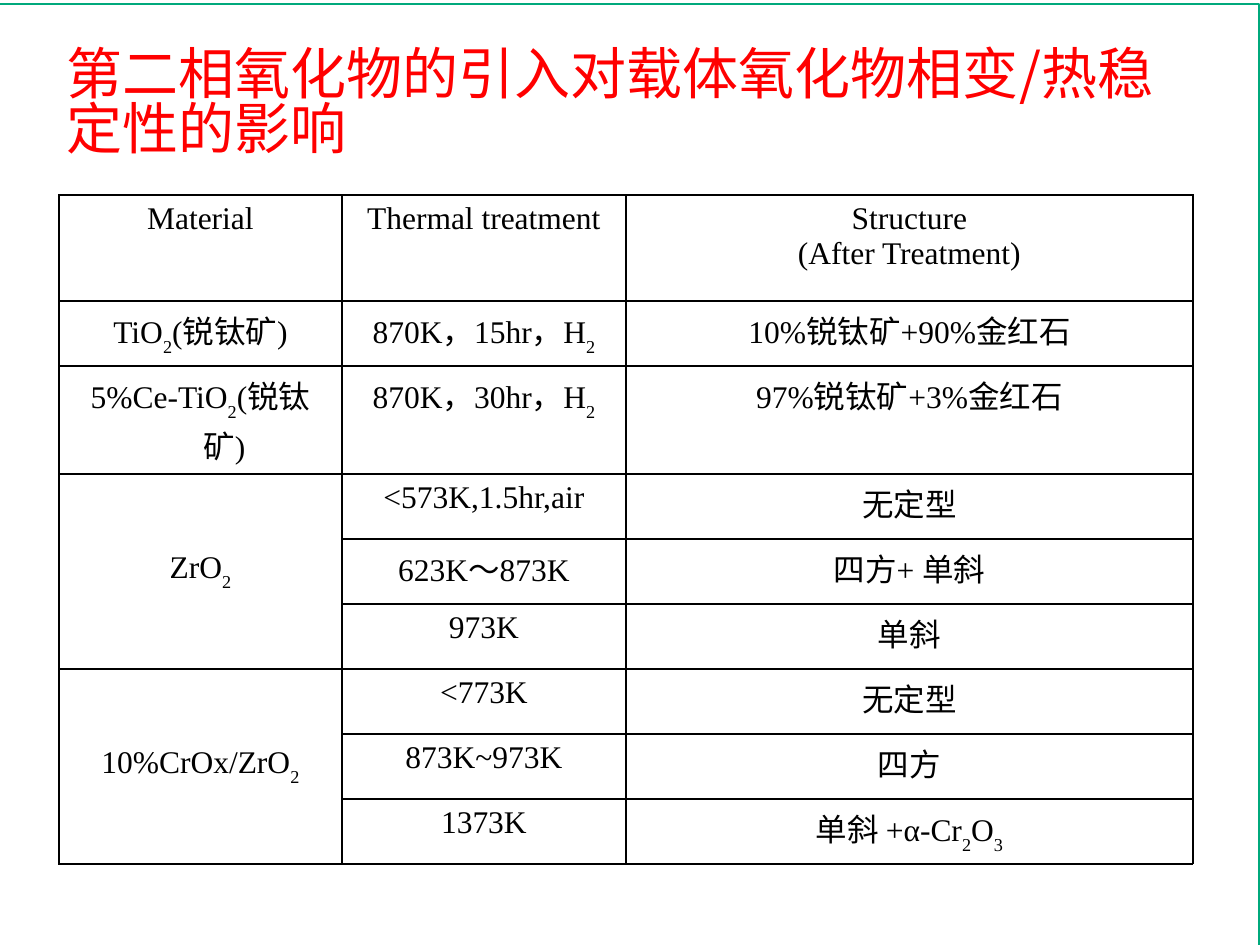
from lxml import etree
from pptx import Presentation, util as u
from pptx.dml.color import RGBColor
from pptx.enum import shapes, text
from pptx.oxml.ns import qn

SCALE = 914400 / 126
WHITE = RGBColor(0xFF, 0xFF, 0xFF)
BLACK = RGBColor(0, 0, 0)
RED = RGBColor(0xFF, 0, 0)
GREEN = RGBColor(0, 0xA9, 0x7C)
SANS, SERIF = "Noto Sans CJK SC", "Times New Roman"
TITLE = "第二相氧化物的引入对载体氧化物相变/热稳定性的影响"
COLUMNS = (283, 284, 567)
HEADER_HEIGHT, ROW_HEIGHT, HANGING = 106, 65, 48
ROWS = (
    ("Material", "Thermal treatment", "Structure\n(After Treatment)"),
    ("TiO_2_(锐钛矿)", "870K，15hr，H_2", "10%锐钛矿+90%金红石"),
    ("5%Ce-TiO_2_(锐钛矿)", "870K，30hr，H_2", "97%锐钛矿+3%金红石"),
    ("ZrO_2", "<573K,1.5hr,air", "无定型"),
    ("", "623K～873K", "四方+ 单斜"),
    ("", "973K", "单斜"),
    ("10%CrOx/ZrO_2", "<773K", "无定型"),
    ("", "873K~973K", "四方"),
    ("", "1373K", "单斜 +α-Cr_2_O_3"),
)
MERGED_ROWS = ((3, 5), (6, 8))


def px(n):
    """Turn pixels into EMU."""
    return u.Emu(round(n * SCALE))


def add_run(p, words, size, latin, color):
    """Add one formatted run with the East Asian font and return it."""
    r = p.add_run()
    r.text = words
    r.font.size, r.font.name = u.Pt(size), latin
    r.font.color.rgb = color
    etree.SubElement(r._r.get_or_add_rPr(), qn("a:ea")).set("typeface", SANS)
    return r


def add_frame(s, box):
    """Draw the outlined page background behind everything else."""
    sp = s.shapes.add_shape(shapes.MSO_SHAPE.RECTANGLE, *map(px, box))
    sp.shadow.inherit = False
    sp.fill.solid()
    sp.fill.fore_color.rgb = WHITE
    sp.line.color.rgb = GREEN
    sp.line.width = u.Pt(1)
    s.shapes._spTree.insert(2, sp._element)


def add_title(s, box):
    """Place and fill the title placeholder."""
    sp = s.shapes.title
    sp.left, sp.top, sp.width, sp.height = map(px, box)
    tf = sp.text_frame
    tf.word_wrap, tf.auto_size = True, text.MSO_AUTO_SIZE.NONE
    tf.vertical_anchor = text.MSO_ANCHOR.BOTTOM
    tf.margin_bottom = 0
    p = tf.paragraphs[0]
    p.alignment, p.line_spacing = text.PP_ALIGN.LEFT, 0.83
    add_run(p, TITLE, 32, SANS, RED)


def set_borders(cell):
    """Give a cell no fill and thin black lines on all sides."""
    cell.fill.background()
    tcPr = cell._tc.get_or_add_tcPr()
    for i, side in enumerate("LRTB"):
        ln = etree.Element(qn(f"a:ln{side}"), w=str(u.Pt(0.75)))
        fill = etree.SubElement(ln, qn("a:solidFill"))
        etree.SubElement(fill, qn("a:srgbClr")).set("val", str(BLACK))
        tcPr.insert(i, ln)


def fill_cell(cell, words):
    """Write centred lines, with subscripts between underscores."""
    tf = cell.text_frame
    for i, line in enumerate(words.split("\n")):
        p = tf.add_paragraph() if i else tf.paragraphs[0]
        p.alignment = text.PP_ALIGN.CENTER
        pPr = p._p.get_or_add_pPr()
        pPr.set("marL", str(px(HANGING)))
        pPr.set("indent", str(-px(HANGING)))
        for j, part in enumerate(line.split("_")):
            r = add_run(p, part, 18, SERIF, BLACK)
            if j % 2:
                r._r.get_or_add_rPr().set("baseline", "-30000")


def add_materials_table(s, left, top):
    """Build the table of materials, treatments and structures."""
    height = HEADER_HEIGHT + ROW_HEIGHT * (len(ROWS) - 1)
    table = s.shapes.add_table(len(ROWS), len(COLUMNS), px(left), px(top),
                               px(sum(COLUMNS)), px(height)).table
    table.first_row = table.horz_banding = False
    for column, width in zip(table.columns, COLUMNS):
        column.width = px(width)
    for i, row in enumerate(ROWS):
        table.rows[i].height = px(ROW_HEIGHT if i else HEADER_HEIGHT)
        for j, words in enumerate(row):
            set_borders(table.cell(i, j))
            if words:
                fill_cell(table.cell(i, j), words)
    for first, last in MERGED_ROWS:
        table.cell(first, 0).merge(table.cell(last, 0))
        table.cell(first, 0).vertical_anchor = text.MSO_ANCHOR.MIDDLE


def main():
    """Build and save the slide."""
    prs = Presentation()
    prs.slide_width, prs.slide_height = px(1260), px(945)
    s = prs.slides.add_slide(prs.slide_layouts[5])
    add_frame(s, (-1, 4, 1260, 945))
    add_title(s, (54, 94, 1167, 67))
    add_materials_table(s, 59, 195)
    prs.save("out.pptx")


if __name__ == "__main__":
    main()
